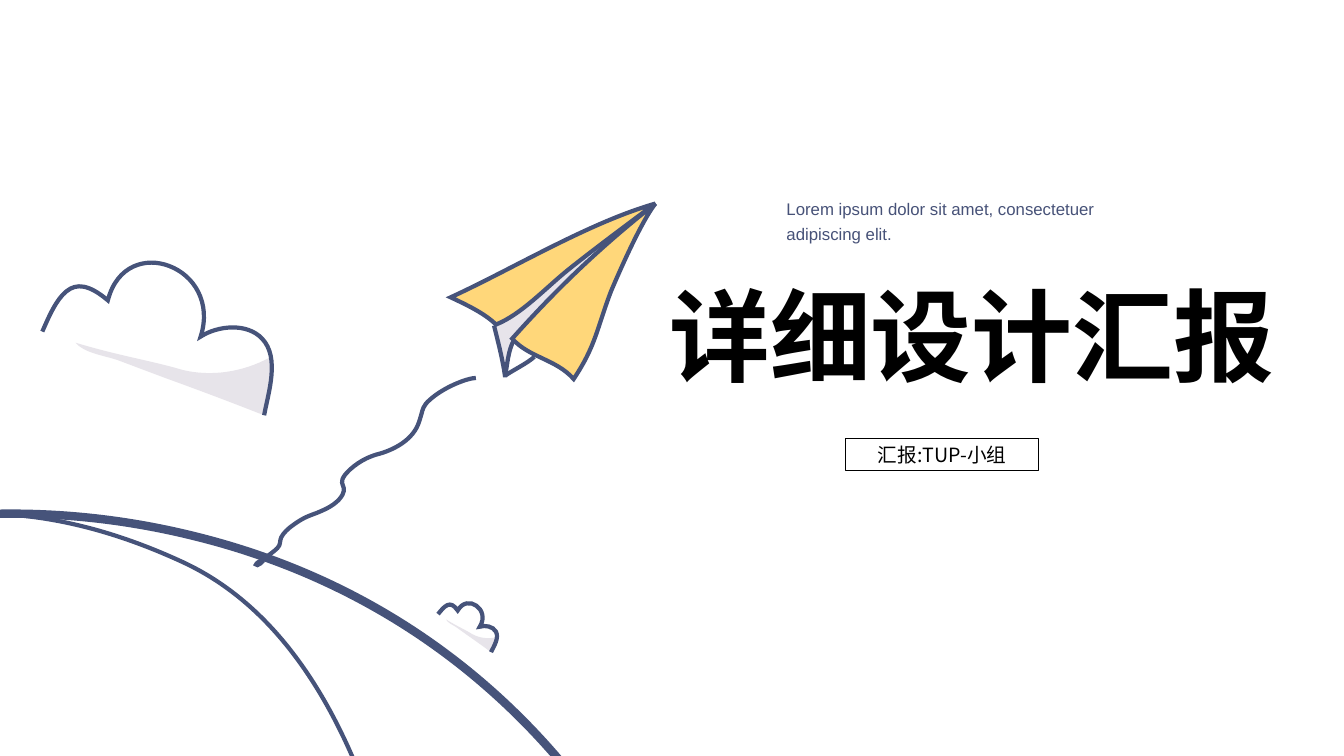
from math import cos, radians, sin

from lxml.etree import SubElement
from pptx import Presentation
from pptx.dml.color import RGBColor
from pptx.enum.lang import MSO_LANGUAGE_ID
from pptx.enum.shapes import MSO_SHAPE
from pptx.enum.text import MSO_ANCHOR, MSO_AUTO_SIZE, PP_ALIGN
from pptx.oxml.ns import qn
from pptx.util import Pt

# Content: lengths in px, 100 to the inch
PX = 9144
WIDTH, HEIGHT = 1333, 750
COLORS = {"ink": "46537A", "intro": "475278", "yellow": "FFD77A",
          "shade": "E7E4EA", "black": "000000"}
TITLE = "详细设计汇报"
INTRO = "Lorem ipsum dolor sit amet, consectetuer adipiscing elit."
TEAM = "汇报:TUP-小组"

# Outlines: a start point, then segments of 2 numbers (line) or 6 (curve)
HILLS = [
    dict(line=6, closed=True, outline=[
        (649, 1744), (870, 1319, 728, 667, 197, 533), (-361, 391, -901, 920, -829, 1456),
        (-735, 2140, 133, 2409, 568, 1868), (599, 1829, 626, 1788, 649, 1744)]),
    dict(line=3, closed=True, outline=[
        (57, 2123), (438, 1999, 471, 1379, 424, 1047), (401, 883, 351, 637, 182, 558),
        (-350, 311, -571, 1071, -537, 1433), (-512, 1707, -292, 2236, 57, 2123)]),
]
TRAIL = [
    dict(line=3, closed=True, outline=[
        (254, 560), (254, 559, 258, 556, 260, 556), (263, 556, 254, 563, 254, 560)]),
    dict(line=3, outline=[
        (472, 375), (464, 375, 440, 384, 426, 397), (420, 402, 419, 407, 418, 411),
        (416, 417, 415, 425, 406, 434), (397, 443, 384, 448, 377, 450),
        (369, 452, 358, 456, 347, 466), (329, 483, 350, 480, 336, 496),
        (329, 503, 321, 506, 314, 509), (306, 512, 302, 513, 292, 520),
        (286, 524, 281, 529, 279, 533), (277, 537, 279, 540, 275, 544),
        (272, 547, 265, 552, 261, 555)]),
]
PLANE = [
    dict(fill="shade", closed=True, outline=[
        (510, 337), (504, 347, 502, 362, 501, 373), (499, 357, 493, 339, 490, 323),
        (593, 244), (593, 244, 510, 337, 510, 337)]),
    dict(fill="yellow", line=3, closed=True, outline=[
        (650, 202), (594, 246, 550, 289, 508, 336), (525, 355, 551, 356, 569, 376),
        (591, 343, 592, 326, 606, 289), (615, 268, 636, 220, 650, 202)]),
    dict(fill="yellow", line=3, closed=True, outline=[
        (562, 269), (541, 286, 517, 312, 492, 322), (481, 311, 462, 302, 447, 295),
        (510, 266, 584, 221, 650, 202), (650, 202, 589, 247, 562, 269)]),
    dict(line=3, outline=[
        (510, 337), (504, 347, 503, 363, 501, 374), (499, 358, 494, 339, 490, 323)]),
    dict(line=3, outline=[(530, 354), (522, 361, 511, 366, 502, 372)]),
]
CLOUD = [
    dict(fill="shade", closed=True, outline=[
        (75, 340), (118, 353, 151, 358, 181, 367), (210, 374, 241, 369, 267, 355),
        (273, 367, 262, 412, 262, 412), (229, 399, 197, 387, 164, 375),
        (148, 369, 132, 363, 116, 357), (104, 353, 83, 350, 75, 340)]),
    dict(line=3, outline=[
        (42, 329), (49, 313, 56, 297, 66, 289), (76, 281, 88, 282, 107, 298),
        (116, 263, 145, 255, 168, 264), (192, 273, 210, 300, 199, 334),
        (216, 323, 245, 320, 260, 336), (278, 355, 266, 390, 262, 412)]),
]
CLOUD_FOOT, SMALL_FOOT = (262, 412), (487, 647)
SMALL_SCALE, SMALL_TURN = 0.275, 15


def rgb(name):
    return RGBColor.from_string(COLORS[name])


def pairs(segment):
    return list(zip(segment[::2], segment[1::2]))


def small_point(x, y):
    """Shrink and turn a point of the large cloud about its foot."""
    dx, dy = (x - CLOUD_FOOT[0]) * SMALL_SCALE, (y - CLOUD_FOOT[1]) * SMALL_SCALE
    c, s = cos(radians(SMALL_TURN)), sin(radians(SMALL_TURN))
    return SMALL_FOOT[0] + dx * c - dy * s, SMALL_FOOT[1] + dx * s + dy * c


def flatten(outline, steps=24):
    """Points along the outline, which give the shape its true bounds."""
    points = [outline[0]]
    for segment in outline[1:]:
        if len(segment) == 2:
            points.append(segment)
            continue
        curve = [points[-1]] + pairs(segment)
        for step in range(1, steps + 1):
            t = step / steps
            weights = ((1 - t) ** 3, 3 * t * (1 - t) ** 2, 3 * t * t * (1 - t), t ** 3)
            points.append(tuple(sum(w * p[axis] for w, p in zip(weights, curve))
                                for axis in (0, 1)))
    return points


def draw_outline(group, outline, fill=None, line=None, closed=False):
    # Lengths become EMU here, so the shape's own units are EMU too
    outline = [tuple(round(number * PX) for number in segment) for segment in outline]
    points = [(round(x), round(y)) for x, y in flatten(outline)]
    builder = group.shapes.build_freeform(*points[0])
    builder.add_line_segments(points[1:], close=closed)
    shape = builder.convert_to_shape()
    shape.shadow.inherit = False
    # Swap the flattened points for real curves
    left, top = min(x for x, y in points), min(y for x, y in points)
    track = shape._element.spPr.find(".//" + qn("a:path"))
    for child in list(track):
        track.remove(child)
    for index, segment in enumerate(outline):
        tag = "a:moveTo" if index == 0 else "a:lnTo" if len(segment) == 2 else "a:cubicBezTo"
        node = SubElement(track, qn(tag))
        for x, y in pairs(segment):
            SubElement(node, qn("a:pt"), x=str(x - left), y=str(y - top))
    if closed:
        SubElement(track, qn("a:close"))
    if fill:
        shape.fill.solid()
        shape.fill.fore_color.rgb = rgb(fill)
    else:
        shape.fill.background()
    if line:
        shape.line.color.rgb = rgb("ink")
        shape.line.width = Pt(line)
        SubElement(shape.line._ln, qn("a:miter"), lim="800000")
    else:
        shape.line.fill.background()


def write(box, text, size, color, font="Arial", bold=False, align=PP_ALIGN.LEFT,
          anchor=MSO_ANCHOR.TOP, margins=(10, 5), wrap=True, spacing=None, chinese=True):
    frame = box.text_frame
    frame.word_wrap = wrap
    frame.auto_size = MSO_AUTO_SIZE.SHAPE_TO_FIT_TEXT
    frame.vertical_anchor = anchor
    frame.margin_left = frame.margin_right = margins[0] * PX
    frame.margin_top = frame.margin_bottom = margins[1] * PX
    para = frame.paragraphs[0]
    para.alignment = align
    para.line_spacing = spacing
    span = para.add_run()
    span.text = text
    span.font.name, span.font.size, span.font.bold = font, Pt(size), bold
    span.font.color.rgb = rgb(color)
    if chinese:
        span.font.language_id = MSO_LANGUAGE_ID.SIMPLIFIED_CHINESE


def place(left, top, width, height):
    return [length * PX for length in (left, top, width, height)]


deck = Presentation()
deck.slide_width, deck.slide_height = WIDTH * PX, HEIGHT * PX
page = deck.slides.add_slide(deck.slide_layouts[6])

# Title
write(page.shapes.add_textbox(*place(654, 267, 626, 131)), TITLE, 72, "black",
      bold=True, wrap=False)

# Illustration
small_cloud = [
    {**part, "outline": [sum((small_point(*point) for point in pairs(segment)), ())
                         for segment in part["outline"]]}
    for part in CLOUD]
for parts in (HILLS, TRAIL, PLANE, CLOUD, small_cloud):
    group = page.shapes.add_group_shape()
    for part in parts:
        draw_outline(group, **part)

# Introduction
write(page.shapes.add_textbox(*place(776, 189, 349, 57)), INTRO, 12, "intro",
      anchor=MSO_ANCHOR.MIDDLE, margins=(4, 4), spacing=1.2, chinese=False)

# Team label
label = page.shapes.add_shape(MSO_SHAPE.RECTANGLE, *place(839, 435, 191, 32))
label.shadow.inherit = False
label.fill.background()
label.line.color.rgb = rgb("black")
label.line.width = Pt(0.75)
write(label, TEAM, 14, "black", font="Noto Sans CJK SC", align=PP_ALIGN.CENTER,
      anchor=MSO_ANCHOR.MIDDLE, margins=(0, 4))

deck.save("out.pptx")
